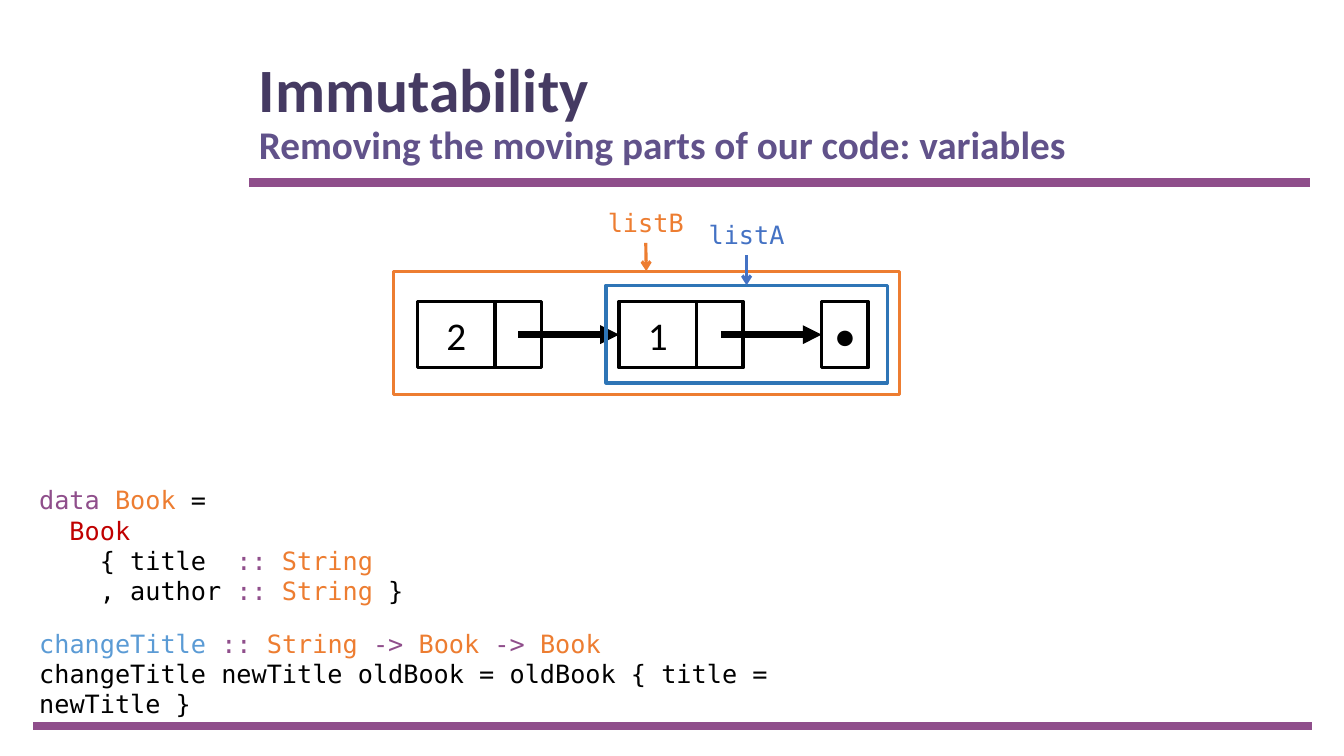
"""Build the slide on immutability with a linked list diagram and sample code."""
from lxml.etree import SubElement
from pptx import Presentation
from pptx.dml.color import RGBColor
from pptx.enum.shapes import MSO_CONNECTOR, MSO_SHAPE
from pptx.enum.text import MSO_ANCHOR, PP_ALIGN
from pptx.oxml.ns import qn
from pptx.util import Inches, Pt

BLACK, PURPLE, ORANGE, BLUE = "000000", "8F4E8B", "ED7D31", "4472C4"
FRAME_BLUE, SKY, RED = "2E75B6", "5B9BD5", "C00000"
TOP, LEFT, BOTTOM = 0, 1, 2
CELL_TOP, CELL_HEIGHT = 2.99, 0.66
VALUE_WIDTH, POINTER_WIDTH = 0.77, 0.46


def color(hex_string):
    return RGBColor.from_string(hex_string)


class SlideBuilder:
    """Hold the style and the current slide, and draw each kind of element."""

    body_font = "Calibri"
    code_font = "DejaVu Sans Mono"
    code_size = 18
    outline = 2.25

    def __init__(self, presentation):
        self.slide = presentation.slides.add_slide(presentation.slide_layouts[6])

    def style(self, font, name, size, hex_string, bold=False):
        font.name = name
        font.size = Pt(size)
        font.bold = bold
        font.color.rgb = color(hex_string)

    def line(self, start, end, hex_string, width, arrowhead=None):
        points = [Inches(length) for length in (*start, *end)]
        connector = self.slide.shapes.add_connector(MSO_CONNECTOR.STRAIGHT, *points)
        connector.line.color.rgb = color(hex_string)
        connector.line.width = Pt(width)
        properties = connector._element.spPr
        if arrowhead:
            SubElement(properties.find(qn("a:ln")), qn("a:tailEnd"), type=arrowhead)
        SubElement(properties, qn("a:effectLst"))
        return connector

    def box(self, left, top, width, height, hex_string=BLACK, text="", size=28):
        lengths = [Inches(length) for length in (left, top, width, height)]
        shape = self.slide.shapes.add_shape(MSO_SHAPE.RECTANGLE, *lengths)
        shape.shadow.inherit = False
        shape.fill.background()
        shape.line.color.rgb = color(hex_string)
        shape.line.width = Pt(self.outline)
        if text:
            shape.text_frame.text = text
            shape.text_frame.vertical_anchor = MSO_ANCHOR.MIDDLE
            paragraph = shape.text_frame.paragraphs[0]
            paragraph.alignment = PP_ALIGN.CENTER
            self.style(paragraph.runs[0].font, self.body_font, size, BLACK)
        return shape

    def text_box(self, left, top, width, height):
        lengths = [Inches(length) for length in (left, top, width, height)]
        shape = self.slide.shapes.add_textbox(*lengths)
        shape.text_frame.word_wrap = True
        return shape

    def title(self, heading, subheading):
        text_frame = self.text_box(2.47, 0.4, 10.52, 1.45).text_frame
        text_frame.vertical_anchor = MSO_ANCHOR.MIDDLE
        text_frame.text = f"{heading}\v{subheading}"
        paragraph = text_frame.paragraphs[0]
        paragraph.line_spacing = 0.9
        formats = ((44, "453A62"), (28, "61528A"))
        for run, (size, hex_string) in zip(paragraph.runs, formats):
            self.style(run.font, self.body_font, size, hex_string, bold=True)

    def list_cell(self, left, value):
        self.box(left, CELL_TOP, VALUE_WIDTH, CELL_HEIGHT, text=value)
        self.box(left + VALUE_WIDTH, CELL_TOP, POINTER_WIDTH, CELL_HEIGHT)

    def pointer(self, left, target):
        middle = CELL_TOP + CELL_HEIGHT / 2
        arrow = self.line((left, middle), (left + 1, middle), BLACK, 4.5, "triangle")
        arrow.end_connect(target, LEFT)

    def named_frame(self, name, bounds, label_left, label_top, frame_color, label_color):
        frame = self.box(*bounds, frame_color)
        label = self.text_box(label_left, label_top, 0.97, 0.4)
        label.text_frame.text = name
        paragraph = label.text_frame.paragraphs[0]
        paragraph.alignment = PP_ALIGN.CENTER
        self.style(paragraph.runs[0].font, self.code_font, self.code_size, label_color)
        center = label_left + 0.97 / 2
        arrow = self.line((center, label_top + 0.4), (center, bounds[1]),
                          label_color, self.outline, "arrow")
        arrow.begin_connect(label, BOTTOM)
        arrow.end_connect(frame, TOP)

    def code(self, left, top, width, height, lines):
        text_frame = self.text_box(left, top, width, height).text_frame
        for index, tokens in enumerate(lines):
            paragraph = text_frame.add_paragraph() if index else text_frame.paragraphs[0]
            for text, hex_string in tokens:
                run = paragraph.add_run()
                run.text = text
                self.style(run.font, self.code_font, self.code_size, hex_string)


def main():
    presentation = Presentation()
    presentation.slide_width = Inches(13.33)
    presentation.slide_height = Inches(7.5)
    builder = SlideBuilder(presentation)

    builder.line((2.47, 1.81), (12.99, 1.81), PURPLE, 6)
    builder.line((0.33, 7.2), (13.01, 7.2), PURPLE, 6)
    builder.title("Immutability", "Removing the moving parts of our code: variables")

    builder.list_cell(4.14, "2")
    builder.list_cell(6.14, "1")
    first_cell_target = builder.slide.shapes[-2]
    list_end = builder.box(8.15, CELL_TOP, POINTER_WIDTH, CELL_HEIGHT, text="●", size=24)
    builder.pointer(5.14, first_cell_target)
    builder.pointer(7.15, list_end)
    builder.named_frame("listB", (3.9, 2.69, 5.02, 1.22), 5.92, 2.01, ORANGE, ORANGE)
    builder.named_frame("listA", (6.01, 2.83, 2.79, 0.97), 6.92, 2.13, FRAME_BLUE, BLUE)

    builder.code(0.29, 4.76, 6.67, 1.31, [
        [("data ", PURPLE), ("Book ", ORANGE), ("=", BLACK)],
        [("  Book", RED)],
        [("    { title  ", BLACK), (":: ", PURPLE), ("String", ORANGE)],
        [("    , author ", BLACK), (":: ", PURPLE), ("String ", ORANGE), ("}", BLACK)],
    ])
    builder.code(0.29, 6.18, 8.51, 0.71, [
        [("changeTitle ", SKY), (":: ", PURPLE), ("String ", ORANGE), ("->", PURPLE),
         (" Book ", ORANGE), ("->", PURPLE), (" Book", ORANGE)],
        [("changeTitle newTitle oldBook = oldBook { title = newTitle }", BLACK)],
    ])
    presentation.save("out.pptx")


if __name__ == "__main__":
    main()
